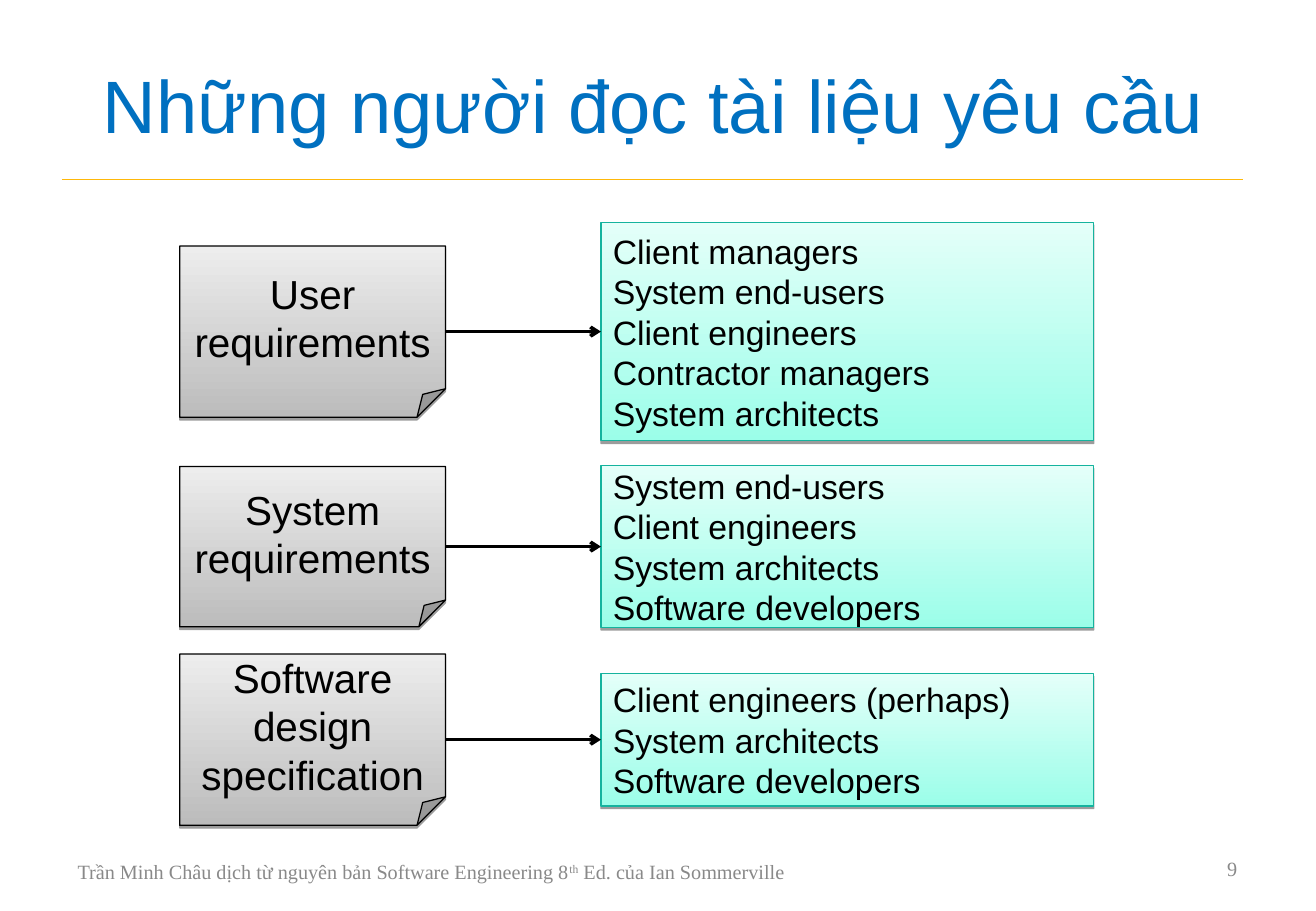
import pptx
import pptx.util
import pptx.dml.color
import pptx.enum.shapes
import pptx.enum.text
import pptx.oxml
import pptx.oxml.ns
from dataclasses import dataclass
from lxml import etree

TITLE = "Những người đọc tài liệu yêu cầu"
FOOTER = [
    ("Trần Minh Châu dịch từ nguyên bản Software Engineering 8", False),
    ("th", True),
    (" Ed. của Ian Sommerville", False),
]
PAGE_NUMBER = "9"

# document, its height, its readers, their height, centre line of the row
ROWS = [
    ("User requirements", 1.41,
     ["Client managers", "System end-users", "Client engineers",
      "Contractor managers", "System architects"], 1.8, 2.73),
    ("System requirements", 1.32,
     ["System end-users", "Client engineers", "System architects",
      "Software developers"], 1.33, 4.5),
    ("Software design specification", 1.41,
     ["Client engineers (perhaps)", "System architects",
      "Software developers"], 1.09, 6.09),
]
DOCUMENT_LEFT, DOCUMENT_WIDTH = 1.48, 2.19
READERS_LEFT, READERS_WIDTH = 4.95, 4.06


@dataclass(frozen=True)
class Theme:
    sans: str = "Arial"
    serif: str = "Times New Roman"
    title_size: int = 44
    document_size: int = 24
    readers_size: int = 20
    footer_size: int = 12
    title: str = "0070C0"
    ink: str = "000000"
    muted: str = "898989"
    rule: str = "FEB80A"
    document_fill: tuple = ("BCBCBC", "EDEDED")
    readers_fill: tuple = ("9BFEE9", "E4FFF9")
    readers_line: str = "15B39E"


THEME = Theme()
SHAPES = pptx.enum.shapes.MSO_SHAPE
ALIGN = pptx.enum.text.PP_ALIGN
Inches = pptx.util.Inches
qn = pptx.oxml.ns.qn


def rgb(code):
    return pptx.dml.color.RGBColor.from_string(code)


def write(shape, paragraphs, font, size, color, align=ALIGN.LEFT):
    """Fill a shape with paragraphs, each a list of (text, superscript) runs."""
    frame = shape.text_frame
    frame.word_wrap = True
    frame.vertical_anchor = pptx.enum.text.MSO_ANCHOR.MIDDLE
    for index, runs in enumerate(paragraphs):
        para = frame.add_paragraph() if index else frame.paragraphs[0]
        para.alignment = align
        for text, superscript in runs:
            span = para.add_run()
            span.text = text
            span.font.name = font
            span.font.size = pptx.util.Pt(size)
            span.font.color.rgb = rgb(color)
            if superscript:
                span._r.get_or_add_rPr().set("baseline", "30000")


def add_label(page, bounds, runs, *style):
    box = page.shapes.add_textbox(*map(Inches, bounds))
    write(box, [runs], *style)


def add_panel(page, preset, left, centre, width, height, colors, outline):
    """Add a box with a vertical gradient and a thin hard shadow below."""
    panel = page.shapes.add_shape(
        preset, Inches(left), Inches(centre - height / 2), Inches(width), Inches(height))
    panel.fill.gradient()
    panel.fill.gradient_angle = 90
    for stop, color in zip(panel.fill.gradient_stops, colors):
        stop.color.rgb = rgb(color)
    panel.line.color.rgb = rgb(outline)
    panel.line.width = pptx.util.Pt(0.75)
    panel.shadow.inherit = False
    effects = panel._element.spPr.find(qn("a:effectLst"))
    shadow = etree.SubElement(effects, qn("a:outerShdw"), blurRad="0",
                              dist=str(pptx.util.Pt(1.6)), dir="5400000",
                              algn="t", rotWithShape="0")
    color = etree.SubElement(shadow, qn("a:srgbClr"), val=THEME.ink)
    etree.SubElement(color, qn("a:alpha"), val="38000")
    return panel


def add_line(page, start, end, y, color, width, arrow=False):
    line = page.shapes.add_connector(
        pptx.enum.shapes.MSO_CONNECTOR.STRAIGHT,
        Inches(start), Inches(y), Inches(end), Inches(y))
    line.line.color.rgb = rgb(color)
    line.line.width = pptx.util.Pt(width)
    if arrow:
        etree.SubElement(line.line._get_or_add_ln(), qn("a:tailEnd"), type="arrow")
    etree.SubElement(line._element.spPr, qn("a:effectLst"))


def main():
    deck = pptx.Presentation()
    deck.slide_width, deck.slide_height = Inches(10.84), Inches(7.5)
    page = deck.slides.add_slide(deck.slide_layouts[6])

    add_line(page, 0.51, 10.24, 1.48, THEME.rule, 0.75)
    add_label(page, (0.54, 7, 6.62, 0.35), FOOTER,
              THEME.serif, THEME.footer_size, THEME.muted)
    add_label(page, (0.51, 0.23, 9.75, 1.25), [(TITLE, False)],
              THEME.sans, THEME.title_size, THEME.title, ALIGN.CENTER)
    add_label(page, (7.76, 6.95, 2.53, 0.4), [(PAGE_NUMBER, False)],
              THEME.serif, THEME.footer_size, THEME.muted, ALIGN.RIGHT)

    for name, document_height, readers, readers_height, centre in ROWS:
        document = add_panel(page, SHAPES.FOLDED_CORNER, DOCUMENT_LEFT, centre,
                             DOCUMENT_WIDTH, document_height,
                             THEME.document_fill, THEME.ink)
        write(document, [[(name, False)]], THEME.sans, THEME.document_size,
              THEME.ink, ALIGN.CENTER)
        audience = add_panel(page, SHAPES.RECTANGLE, READERS_LEFT, centre,
                             READERS_WIDTH, readers_height,
                             THEME.readers_fill, THEME.readers_line)
        write(audience, [[(reader, False)] for reader in readers],
              THEME.sans, THEME.readers_size, THEME.ink)
        add_line(page, DOCUMENT_LEFT + DOCUMENT_WIDTH, READERS_LEFT, centre,
                 THEME.ink, 2, arrow=True)

    deck.save("out.pptx")


if __name__ == "__main__":
    main()
